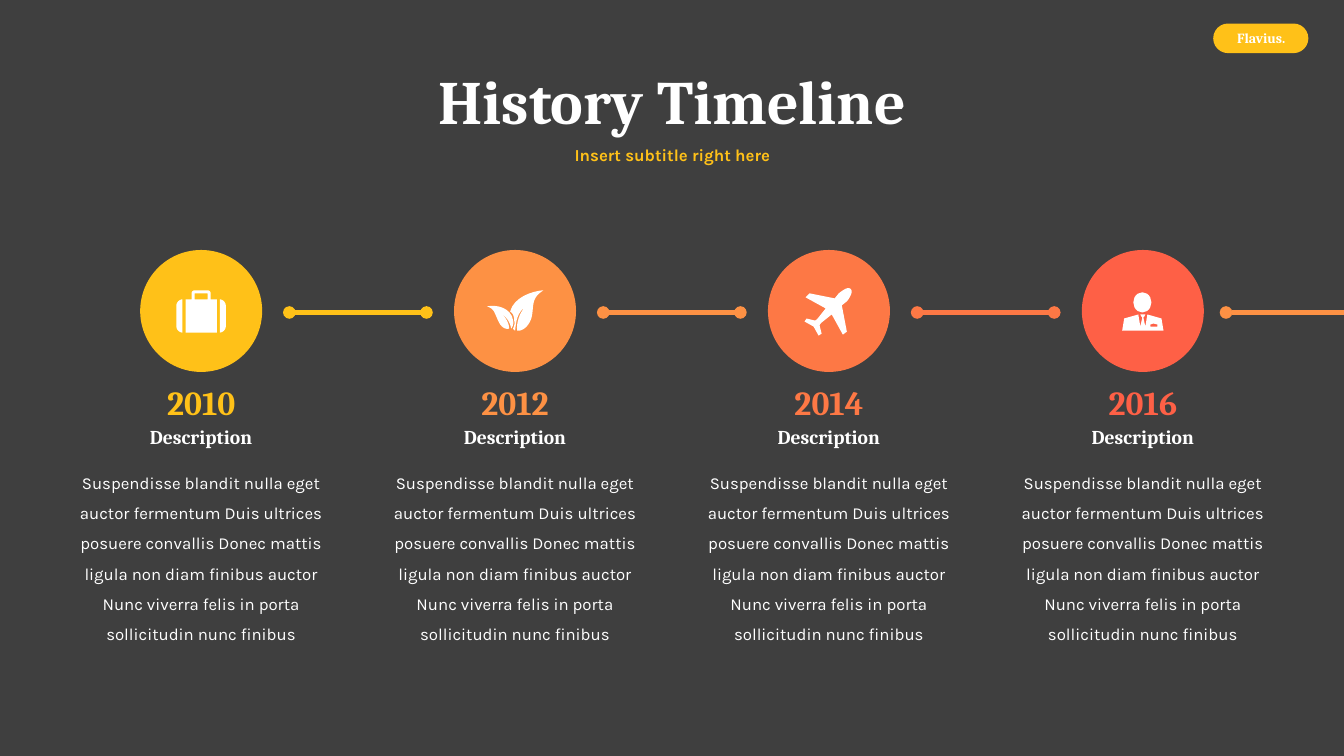
from dataclasses import dataclass
from typing import Optional

from lxml import etree
from pptx import Presentation
from pptx.dml.color import RGBColor
from pptx.enum.shapes import MSO_CONNECTOR, MSO_SHAPE
from pptx.enum.text import MSO_ANCHOR, MSO_AUTO_SIZE, PP_ALIGN
from pptx.oxml.ns import qn
from pptx.util import Inches, Pt

OVAL, PILL = MSO_SHAPE.OVAL, MSO_SHAPE.ROUNDED_RECTANGLE
STRAIGHT = MSO_CONNECTOR.STRAIGHT
TOP, MIDDLE = MSO_ANCHOR.TOP, MSO_ANCHOR.MIDDLE
CENTER = PP_ALIGN.CENTER
GROW, FIXED = MSO_AUTO_SIZE.SHAPE_TO_FIT_TEXT, MSO_AUTO_SIZE.NONE

DARK = RGBColor(0x3F, 0x3F, 0x3F)
WHITE = RGBColor(0xFF, 0xFF, 0xFF)
GOLD = RGBColor(0xFF, 0xC1, 0x18)
ORANGE = RGBColor(0xFD, 0x91, 0x44)
CORAL = RGBColor(0xFD, 0x78, 0x45)
RED = RGBColor(0xFE, 0x60, 0x46)

SERIF, SANS = "Cambria", "Karla"
LEFT, STEP = 1.39, 9.34 / 3
DISC, DISC_TOP = 1.21, 2.48
LINK_Y, LINK_LEN = 3.1, 1.36
BODY = ("Suspendisse blandit nulla eget auctor fermentum Duis ultrices "
        "posuere convallis Donec mattis ligula non diam finibus auctor "
        "Nunc viverra felis in porta sollicitudin nunc finibus")

Box = tuple[float, float, float, float]
# A contour lists line ends (x, y) and cubic curves (x1, y1, x2, y2, x, y)
Contour = list[tuple[float, ...]]


@dataclass
class Icon:
    pieces: list[list[Contour]]
    head: Optional[Box] = None


@dataclass
class Stop:
    year: str
    color: RGBColor
    icon: Icon
    link: RGBColor
    gap: float = 1.48


CASE = Icon([
    [[(1.81, 2.97), (1.81, 3.3), (1.78, 3.3, 1.75, 3.27, 1.75, 3.24),
      (1.75, 3.03), (1.75, 3, 1.78, 2.97, 1.81, 2.97)]],
    [[(2.09, 2.91), (2.09, 2.89, 2.07, 2.88, 2.06, 2.88), (1.93, 2.88),
      (1.92, 2.88, 1.9, 2.89, 1.9, 2.91), (1.9, 2.97), (1.84, 2.97),
      (1.84, 3.3), (2.15, 3.3), (2.15, 2.97), (2.09, 2.97)],
     [(2.06, 2.97), (1.93, 2.97), (1.93, 2.91), (2.06, 2.91)]],
    [[(2.18, 2.97), (2.18, 3.3), (2.21, 3.3, 2.24, 3.27, 2.24, 3.24),
      (2.24, 3.03), (2.24, 3, 2.21, 2.97, 2.18, 2.97)]],
])
LEAF = Icon([
    [[(4.83, 3.04), (4.86, 3.05, 4.88, 3.06, 4.9, 3.09),
      (4.92, 3.13, 4.93, 3.16, 4.95, 3.2),
      (4.98, 3.26, 5.03, 3.27, 5.05, 3.26),
      (5.05, 3.21, 5.02, 3.15, 4.97, 3.11),
      (5.03, 3.15, 5.06, 3.2, 5.07, 3.26),
      (5.07, 3.26, 5.1, 3.23, 5.09, 3.18),
      (5.07, 3.05, 4.92, 3.02, 4.83, 3.04)]],
    [[(5.06, 3.09), (5.09, 3.11, 5.1, 3.14, 5.1, 3.18),
      (5.11, 3.21, 5.1, 3.23, 5.09, 3.26),
      (5.09, 3.27, 5.11, 3.28, 5.11, 3.28),
      (5.12, 3.18, 5.13, 3.11, 5.21, 3.04),
      (5.15, 3.11, 5.12, 3.21, 5.13, 3.28),
      (5.17, 3.29, 5.24, 3.25, 5.27, 3.16),
      (5.29, 3.09, 5.28, 3.04, 5.3, 2.98),
      (5.32, 2.93, 5.35, 2.91, 5.39, 2.88),
      (5.27, 2.89, 5.1, 2.95, 5.06, 3.09)]],
])
PLANE = Icon([
    [[(8.44, 2.87), (8.42, 2.84, 8.37, 2.87, 8.32, 2.91), (8.28, 2.96),
      (8.03, 2.91), (7.99, 2.95), (8.19, 3.06), (8.11, 3.16),
      (8.1, 3.17, 8.09, 3.18, 8.08, 3.18), (8, 3.16), (7.98, 3.19),
      (8.07, 3.24), (8.12, 3.33), (8.15, 3.31), (8.13, 3.23),
      (8.13, 3.22, 8.14, 3.21, 8.15, 3.2), (8.25, 3.12), (8.36, 3.32),
      (8.4, 3.29), (8.35, 3.03), (8.4, 2.99),
      (8.44, 2.94, 8.46, 2.89, 8.44, 2.87)]],
])
CLERK = Icon([
    [[(11.52, 3.16), (11.38, 3.12), (11.36, 3.24), (11.34, 3.15),
      (11.35, 3.14), (11.36, 3.12), (11.31, 3.12), (11.32, 3.14),
      (11.33, 3.15), (11.31, 3.24), (11.29, 3.12), (11.15, 3.16),
      (11.13, 3.28), (11.54, 3.28)],
     [(11.48, 3.24), (11.41, 3.24), (11.41, 3.22), (11.44, 3.21),
      (11.48, 3.22)]],
], head=(11.24, 2.9, 0.18, 0.2))

STOPS = [
    Stop("2010", GOLD, CASE, GOLD),
    Stop("2012", ORANGE, LEAF, ORANGE),
    Stop("2014", CORAL, PLANE, CORAL),
    Stop("2016", RED, CLERK, ORANGE, gap=1.43),
]


def add_text(shapes, box: Box, text: str, *, size: float, color=WHITE,
             font=SERIF, bold=True, space=1.0, anchor=TOP, fit=GROW) -> None:
    frame = shapes.add_textbox(*map(Inches, box)).text_frame
    frame.word_wrap = True
    frame.auto_size = fit
    frame.vertical_anchor = anchor
    par = frame.paragraphs[0]
    par.text = text
    par.alignment = CENTER
    par.line_spacing = space
    par.font.name = font
    par.font.size = Pt(size)
    par.font.bold = bold
    par.font.color.rgb = color


def paint(shape, color: RGBColor) -> None:
    shape.shadow.inherit = False
    shape.fill.solid()
    shape.fill.fore_color.rgb = color
    shape.line.fill.background()


def add_solid(shapes, kind, box: Box, color: RGBColor):
    shape = shapes.add_shape(kind, *map(Inches, box))
    paint(shape, color)
    return shape


def add_link(shapes, left: float, color: RGBColor) -> None:
    ends = (left, LINK_Y, left + LINK_LEN, LINK_Y)
    link = shapes.add_connector(STRAIGHT, *map(Inches, ends))
    link.line.color.rgb = color
    link.line.width = Pt(3)
    props = link._element.spPr
    line = props.find(qn("a:ln"))
    for tag in ("a:headEnd", "a:tailEnd"):
        etree.SubElement(line, qn(tag), type="oval")
    etree.SubElement(props, qn("a:effectLst"))


def trace(contour: Contour, steps: int = 8) -> list[tuple[int, int]]:
    """Turn lines and cubic curves into a list of points."""
    dots = [contour[0]]
    for move in contour[1:]:
        if len(move) == 2:
            dots.append(move)
            continue
        knots = [dots[-1], move[:2], move[2:4], move[4:]]
        for i in range(1, steps + 1):
            t = i / steps
            mix = ((1 - t) ** 3, 3 * t * (1 - t) ** 2,
                   3 * t * t * (1 - t), t ** 3)
            dots.append(tuple(sum(m * k[axis] for m, k in zip(mix, knots))
                              for axis in (0, 1)))
    return [(Inches(x), Inches(y)) for x, y in dots]


def add_icon(shapes, icon: Icon) -> None:
    if len(icon.pieces) > 1 or icon.head:
        shapes = shapes.add_group_shape().shapes
    for piece in icon.pieces:
        first, *holes = map(trace, piece)
        pen = shapes.build_freeform(*first[0])
        pen.add_line_segments(first[1:], close=True)
        for hole in holes:
            pen.move_to(*hole[0])
            pen.add_line_segments(hole[1:], close=True)
        paint(pen.convert_to_shape(), WHITE)
    if icon.head:
        add_solid(shapes, OVAL, icon.head, WHITE)


def main() -> None:
    deck = Presentation()
    deck.slide_width, deck.slide_height = Inches(13.33), Inches(7.5)
    slide = deck.slides.add_slide(deck.slide_layouts[6])
    slide.background.fill.solid()
    slide.background.fill.fore_color.rgb = DARK
    shapes = slide.shapes

    # Badge and headings
    badge = add_solid(shapes, PILL, (12.04, 0.24, 0.93, 0.28), GOLD)
    badge.adjustments[0] = 0.5
    badge.line.color.rgb = GOLD
    badge.line.width = Pt(1)
    add_text(shapes, (12.13, 0.24, 0.76, 0.27), "Flavius.", size=10)
    add_text(shapes, (2.92, 0.52, 7.5, 1.03), "History Timeline", size=44,
             space=0.9, anchor=MIDDLE, fit=FIXED)
    add_text(shapes, (2.92, 1.36, 7.5, 0.38), "Insert subtitle right here",
             size=12, color=GOLD, font=SANS, space=0.9, anchor=MIDDLE,
             fit=FIXED)

    # Timeline stops
    for i, stop in enumerate(STOPS):
        x = LEFT + i * STEP
        add_solid(shapes, OVAL, (x, DISC_TOP, DISC, DISC), stop.color)
        add_link(shapes, x + stop.gap, stop.link)
        add_icon(shapes, stop.icon)
        add_text(shapes, (x - 0.14, 3.74, 1.49, 0.5), stop.year, size=24,
                 color=stop.color)
        add_text(shapes, (x - 0.31, 4.17, 1.83, 0.34), "Description", size=14)
        add_text(shapes, (x - 0.71, 4.54, 2.63, 1.89), BODY, size=12,
                 font=SANS, bold=False, space=1.5)

    deck.save("out.pptx")


if __name__ == "__main__":
    main()
